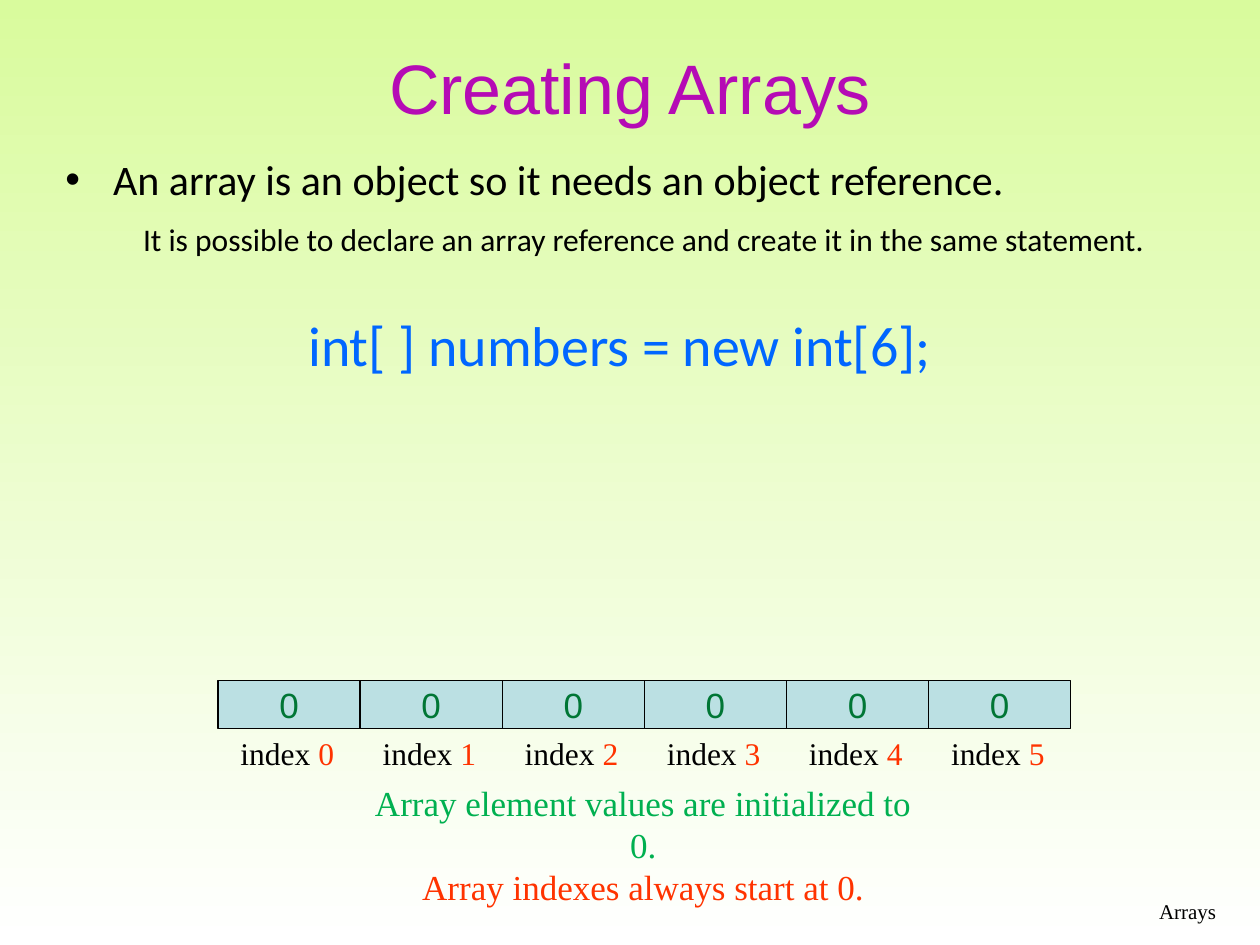
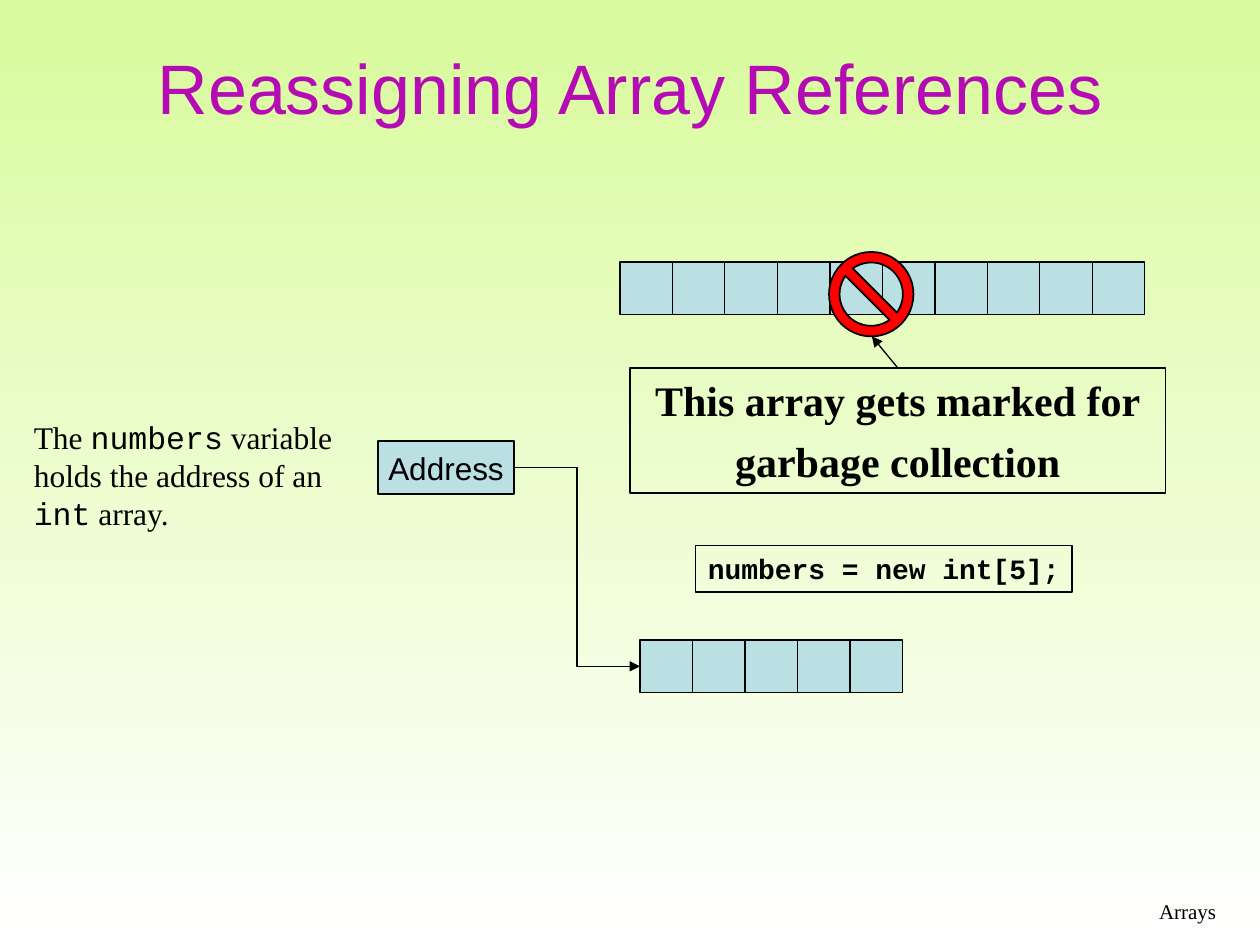
from lxml import etree
from pptx import Presentation
from pptx.dml.color import RGBColor
from pptx.enum.shapes import MSO_CONNECTOR as Connector, MSO_SHAPE as Shape
from pptx.enum.text import MSO_ANCHOR as Anchor, PP_ALIGN as Align
from pptx.oxml.ns import qn
from pptx.util import Inches, Pt

BLACK, BLUE, RED, SIGN_RED = "000000", "0066FF", "FF3300", "FF0000"
PURPLE, GREEN, DARK_GREEN = "B50BB5", "00B050", "007635"
CELL_FILL = "BBE0E3"
BACKGROUND = ("D9FB9D", "FFFFFF")
SANS, BODY, SERIF, MONO = "Arial", "Calibri", "Times New Roman", "Courier New"


def color(hex_value):
    return RGBColor.from_string(hex_value)


def style(size, name=SERIF, hex_value=BLACK, bold=False):
    return {"size": Pt(size), "name": name, "bold": bold, "color": hex_value}


def write(shape, paragraphs, align=Align.LEFT, anchor=Anchor.TOP, wrap=False, gap=0):
    """Fill a shape with paragraphs, each a list of (text, style) runs."""
    frame = shape.text_frame
    frame.word_wrap = wrap
    frame.vertical_anchor = anchor
    for number, runs in enumerate(paragraphs):
        paragraph = frame.add_paragraph() if number else frame.paragraphs[0]
        paragraph.alignment = align
        if number and gap:
            paragraph.space_before = Pt(gap)
        for text, formats in runs:
            run = paragraph.add_run()
            run.text = text
            for key, value in formats.items():
                if key == "color":
                    run.font.color.rgb = color(value)
                else:
                    setattr(run.font, key, value)
    return shape


def add_text(slide, box, paragraphs, **options):
    return write(slide.shapes.add_textbox(*map(Inches, box)), paragraphs, **options)


def add_box(shapes, box, fill=None, width=0.75, kind=Shape.RECTANGLE):
    shape = shapes.add_shape(kind, *map(Inches, box))
    shape.shadow.inherit = False
    if fill:
        shape.fill.solid()
        shape.fill.fore_color.rgb = color(fill)
    else:
        shape.fill.background()
    shape.line.color.rgb = color(BLACK)
    shape.line.width = Pt(width)
    return shape


def add_arrow(slide, kind, start, end):
    arrow = slide.shapes.add_connector(kind, *map(Inches, start + end))
    arrow.line.color.rgb = color(BLACK)
    arrow.line.width = Pt(0.75)
    etree.SubElement(arrow.line._get_or_add_ln(), qn("a:tailEnd"), type="triangle")
    etree.SubElement(arrow._element.spPr, qn("a:effectLst"))
    return arrow


def set_indent(paragraph, left, first):
    properties = paragraph._p.get_or_add_pPr()
    properties.set("marL", str(Inches(left)))
    properties.set("indent", str(Inches(first)))
    return properties


def add_base_slide(presentation, title):
    """Blank slide with the shared title and footer."""
    slide = presentation.slides.add_slide(presentation.slide_layouts[6])
    add_text(slide, (0.25, 0.3, 9.5, 0.78), [[(title, style(40, SANS, PURPLE))]],
             align=Align.CENTER, anchor=Anchor.MIDDLE, wrap=True)
    add_text(slide, (3.67, 7.08, 6.08, 0.34), [[("Arrays", style(12))]],
             align=Align.RIGHT, wrap=True)
    return slide


def add_declaration(slide, box):
    """Bullet, explanation and the line of code."""
    shape = add_text(slide, box, [
        [("An array is an object so it needs an object reference.", style(24, BODY))],
        [("It is possible to declare an array reference and create it "
          "in the same statement.", style(18, BODY))],
        [("int[ ] numbers = new int[6];", style(32, BODY, BLUE))],
    ], wrap=True)
    bullet, explanation, code = shape.text_frame.paragraphs
    properties = set_indent(bullet, 0.38, -0.38)
    etree.SubElement(properties, qn("a:buFont"), typeface=SANS)
    etree.SubElement(properties, qn("a:buChar"), char="•")
    set_indent(explanation, 0.38, 0)
    set_indent(code, 0.38, -0.38)
    for paragraph, before in ((explanation, 9), (code, 30)):
        paragraph.alignment = Align.CENTER
        paragraph.space_before = Pt(before)


def add_indexed_array(slide, left, top, count):
    """Row of zero cells with the index under each one."""
    pitch, height = 1.128, 0.38
    for index in range(count):
        x = left + index * pitch
        cell = add_box(slide.shapes, (x, top, pitch, height), CELL_FILL)
        write(cell, [[("0", style(20, SANS, DARK_GREEN))]],
              align=Align.CENTER, anchor=Anchor.MIDDLE)
        add_text(slide, (x + 0.08, top + height, 0.94, 0.4),
                 [[("index ", style(18)), (str(index), style(18, hex_value=RED))]],
                 align=Align.CENTER)


def add_empty_array(slide, left, top, count):
    """Grouped row of empty square cells; returns the first cell."""
    side = 5 / 12
    group = slide.shapes.add_group_shape()
    cells = [add_box(group.shapes, (left + index * side, top, side, side), CELL_FILL)
             for index in range(count)]
    return cells[0]


def add_discarded_array(slide, left, top):
    """Old array, its prohibition sign and the callout."""
    add_empty_array(slide, left, top, 10)
    callout = add_box(slide.shapes, (left + 0.08, top + 0.84, 4.25, 0.99), width=1)
    write(callout, [[(line, style(24, bold=True))]
                    for line in ("This array gets marked for", "garbage collection")],
          align=Align.CENTER, wrap=True, gap=6)
    sign = add_box(slide.shapes, (left + 1.66, top - 0.08, 0.67, 0.67), SIGN_RED, 1,
                   Shape.NO_SYMBOL)
    sign.adjustments[0] = 0.125
    arrow = add_arrow(slide, Connector.STRAIGHT, (left + 2.21, top + 0.84),
                      (left + 2.0, top + 0.59))
    arrow.begin_connect(callout, 0)


def add_reference(slide, left, top, first_cell):
    """Variable note and address box pointing at the new array."""
    plain, mono = style(18), style(18, MONO)
    add_text(slide, (left, top, 2.57, 1), [
        [("The ", plain), ("numbers", mono), (" variable", plain)],
        [("holds the address of an", plain)],
        [("int", mono), (" array.", plain)],
    ])
    address = add_box(slide.shapes, (left + 2.83, top + 0.23, 1.08, 0.42), CELL_FILL)
    write(address, [[("Address", style(18, SANS))]],
          align=Align.CENTER, anchor=Anchor.MIDDLE)
    arrow = add_arrow(slide, Connector.ELBOW, (4.08, 3.71), (5.08, 5.29))
    arrow.begin_connect(address, 3)
    arrow.end_connect(first_cell, 1)


def build_creating(presentation):
    slide = add_base_slide(presentation, "Creating Arrays")
    add_declaration(slide, (0.42, 1.17, 9, 2.83))
    add_indexed_array(slide, 1.73, 5.4, 6)
    add_text(slide, (2.74, 6.15, 4.73, 0.77), [
        [("Array element values are initialized to 0.", style(20, hex_value=GREEN))],
        [("Array indexes always start at 0.", style(20, hex_value=RED))],
    ], align=Align.CENTER)


def build_reassigning(presentation):
    slide = add_base_slide(presentation, "Reassigning Array References")
    add_discarded_array(slide, 4.92, 2.08)
    first_cell = add_empty_array(slide, 5.08, 5.08, 5)
    add_reference(slide, 0.17, 3.27, first_cell)
    statement = add_box(slide.shapes, (5.52, 4.33, 2.99, 0.37), width=1)
    write(statement, [[("numbers = new int[5];", style(16, MONO, bold=True))]],
          align=Align.CENTER)


def main():
    presentation = Presentation()
    presentation.slide_width, presentation.slide_height = Inches(10), Inches(7.5)
    # Shared background, light green fading down to white
    fill = presentation.slide_master.background.fill
    fill.gradient()
    fill.gradient_angle = 270
    for stop, hex_value, position in zip(fill.gradient_stops, BACKGROUND, (0, 1)):
        stop.color.rgb = color(hex_value)
        stop.position = position
    build_creating(presentation)
    build_reassigning(presentation)
    presentation.save("out.pptx")


if __name__ == "__main__":
    main()
